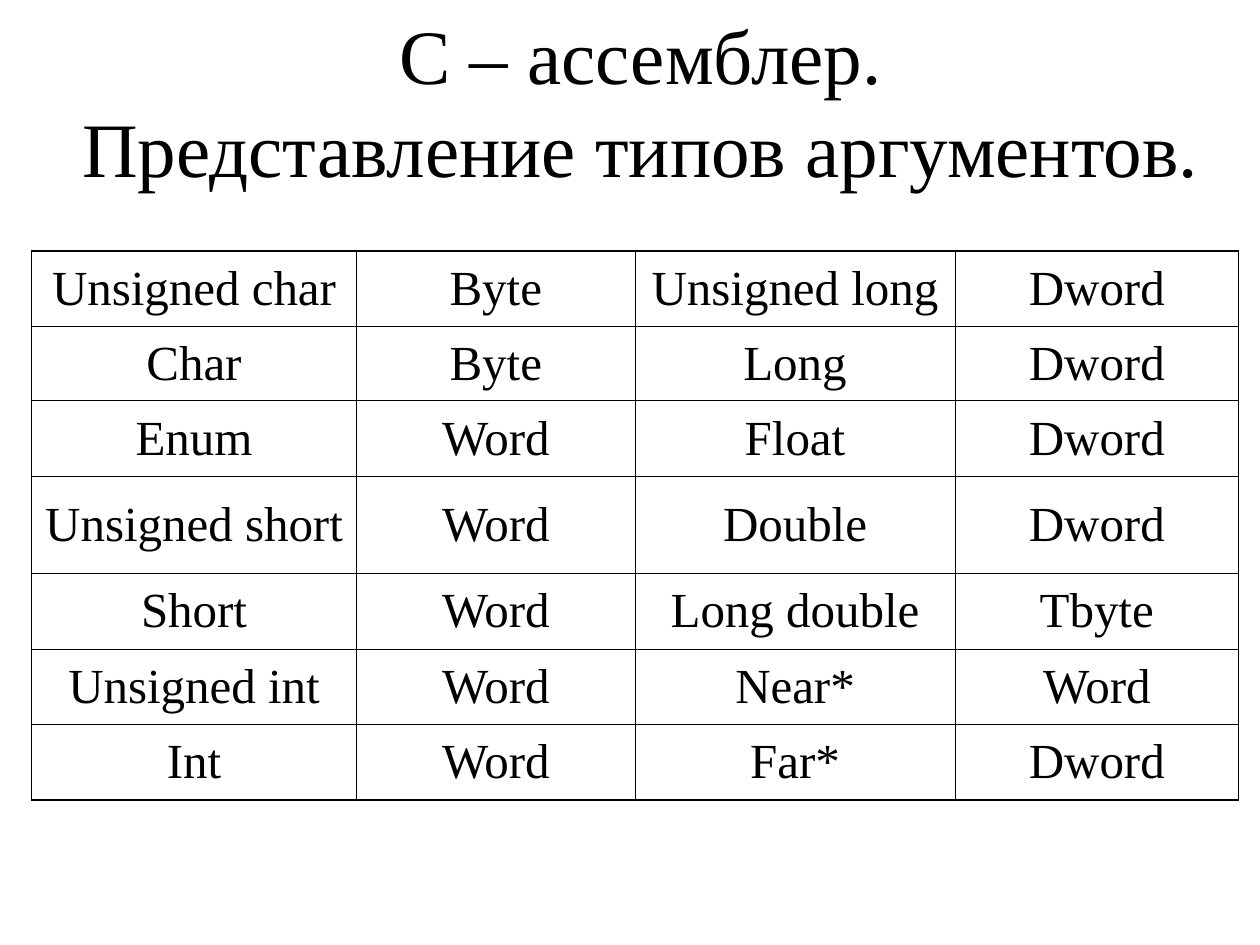
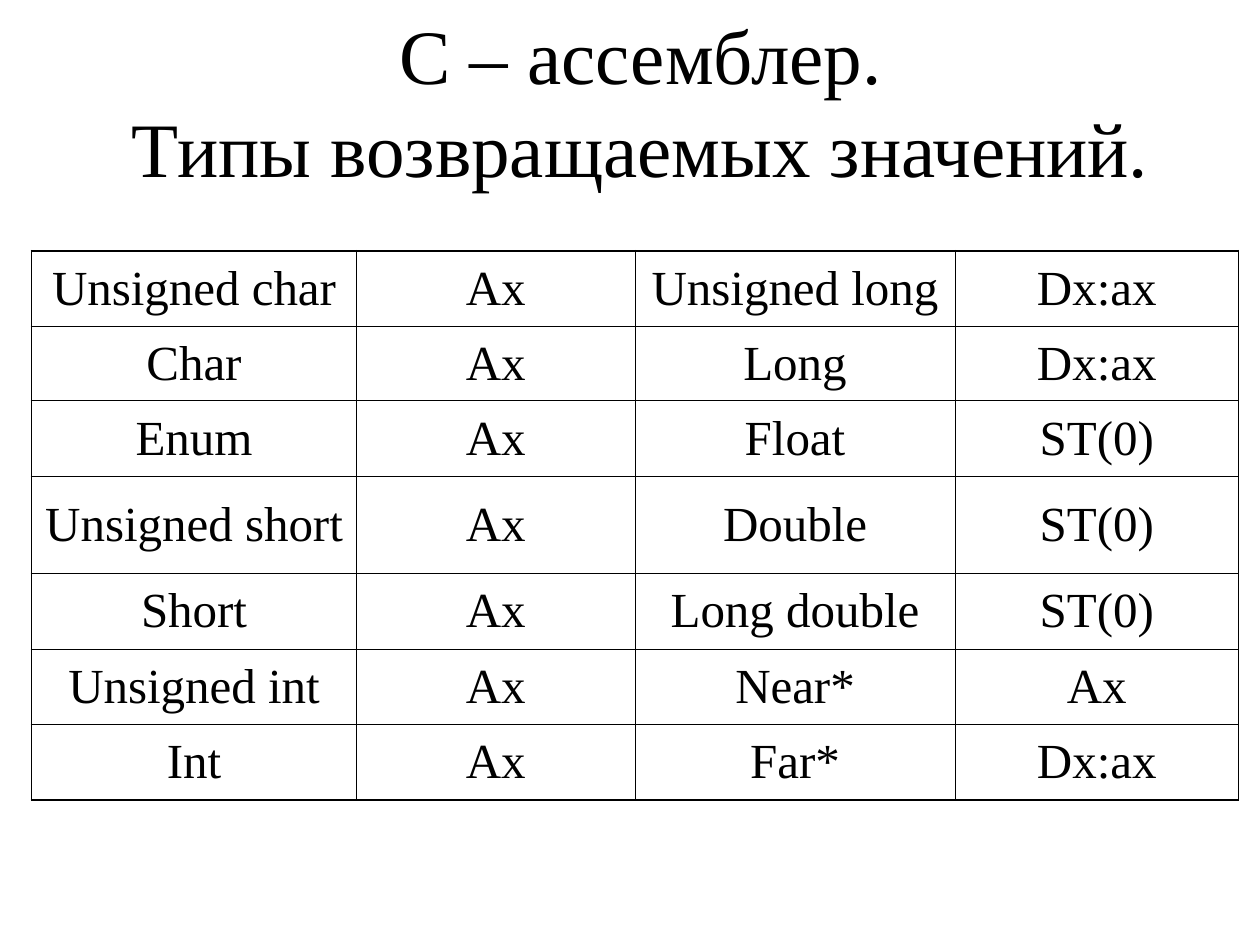
from dataclasses import dataclass

from lxml.etree import SubElement
from pptx import Presentation
from pptx.dml.color import RGBColor as Color
from pptx.enum.text import MSO_ANCHOR as Anchor, MSO_AUTO_SIZE as Fit, PP_ALIGN as Align
from pptx.oxml.ns import qn
from pptx.util import Inches, Pt


@dataclass(frozen=True)
class Theme:
    ink: str = "000000"
    face: str = "Times New Roman"
    head: int = 44
    cell: int = 28
    thin: float = 0.45
    thick: float = 1.08


THEME = Theme()
TOPIC = "C – ассемблер."
COLS = [2.58, 2.21, 2.54, 2.25]
ROWS = [0.6, 0.59, 0.6, 0.77, 0.6, 0.6, 0.6]

# The C types in the first and third columns are the same on both slides
SMALL = ["Unsigned char", "Char", "Enum", "Unsigned short", "Short", "Unsigned int", "Int"]
LARGE = ["Unsigned long", "Long", "Float", "Double", "Long double", "Near*", "Far*"]

ARG_SMALL = ["Byte"] * 2 + ["Word"] * 5
ARG_LARGE = ["Dword"] * 4 + ["Tbyte", "Word", "Dword"]
RET_SMALL = ["Ax"] * 7
RET_LARGE = ["Dx:ax"] * 2 + ["ST(0)"] * 3 + ["Ax", "Dx:ax"]


def style(para, size):
    para.alignment = Align.CENTER
    para.font.name = THEME.face
    para.font.size = Pt(size)
    para.font.color.rgb = Color.from_string(THEME.ink)


def add_title(slide, text):
    title = slide.shapes.title
    title.left, title.top = Inches(0.42), Inches(0.17)
    title.width, title.height = Inches(9.33), Inches(1.25)
    frame = title.text_frame
    frame.auto_size = Fit.NONE
    frame.vertical_anchor = Anchor.MIDDLE
    para = frame.paragraphs[0]
    para.add_run().text = TOPIC
    para.add_line_break()
    para.add_run().text = text
    style(para, THEME.head)


def add_edge(cell, side, width):
    """Draw one side (L, R, T or B) of a cell."""
    line = SubElement(cell._tc.get_or_add_tcPr(), qn(f"a:ln{side}"), w=str(Pt(width)))
    fill = SubElement(line, qn("a:solidFill"))
    SubElement(fill, qn("a:srgbClr"), val=THEME.ink)


def add_grid(slide, data):
    """Add a table with thin inner rules and a thick frame."""
    last_row, last_col = len(ROWS) - 1, len(COLS) - 1
    table = slide.shapes.add_table(
        len(ROWS), len(COLS), Inches(0.25), Inches(1.99),
        Inches(sum(COLS)), Inches(sum(ROWS))).table
    table.first_row = table.horz_banding = False
    for col, width in zip(table.columns, COLS):
        col.width = Inches(width)
    for row, height in zip(table.rows, ROWS):
        row.height = Inches(height)
    for r, texts in enumerate(data):
        for c, text in enumerate(texts):
            cell = table.cell(r, c)
            cell.text = text
            cell.vertical_anchor = Anchor.MIDDLE
            style(cell.text_frame.paragraphs[0], THEME.cell)
            outer = {"L": c == 0, "R": c == last_col, "T": r == 0, "B": r == last_row}
            for side, thick in outer.items():
                add_edge(cell, side, THEME.thick if thick else THEME.thin)
            cell.fill.background()


def add_page(deck, text, small, large):
    slide = deck.slides.add_slide(deck.slide_layouts[5])
    add_title(slide, text)
    add_grid(slide, zip(SMALL, small, LARGE, large))


def main():
    deck = Presentation()
    deck.slide_width, deck.slide_height = Inches(10), Inches(7.5)
    add_page(deck, "Представление типов аргументов.", ARG_SMALL, ARG_LARGE)
    add_page(deck, "Типы возвращаемых значений.", RET_SMALL, RET_LARGE)
    deck.save("out.pptx")


if __name__ == "__main__":
    main()
